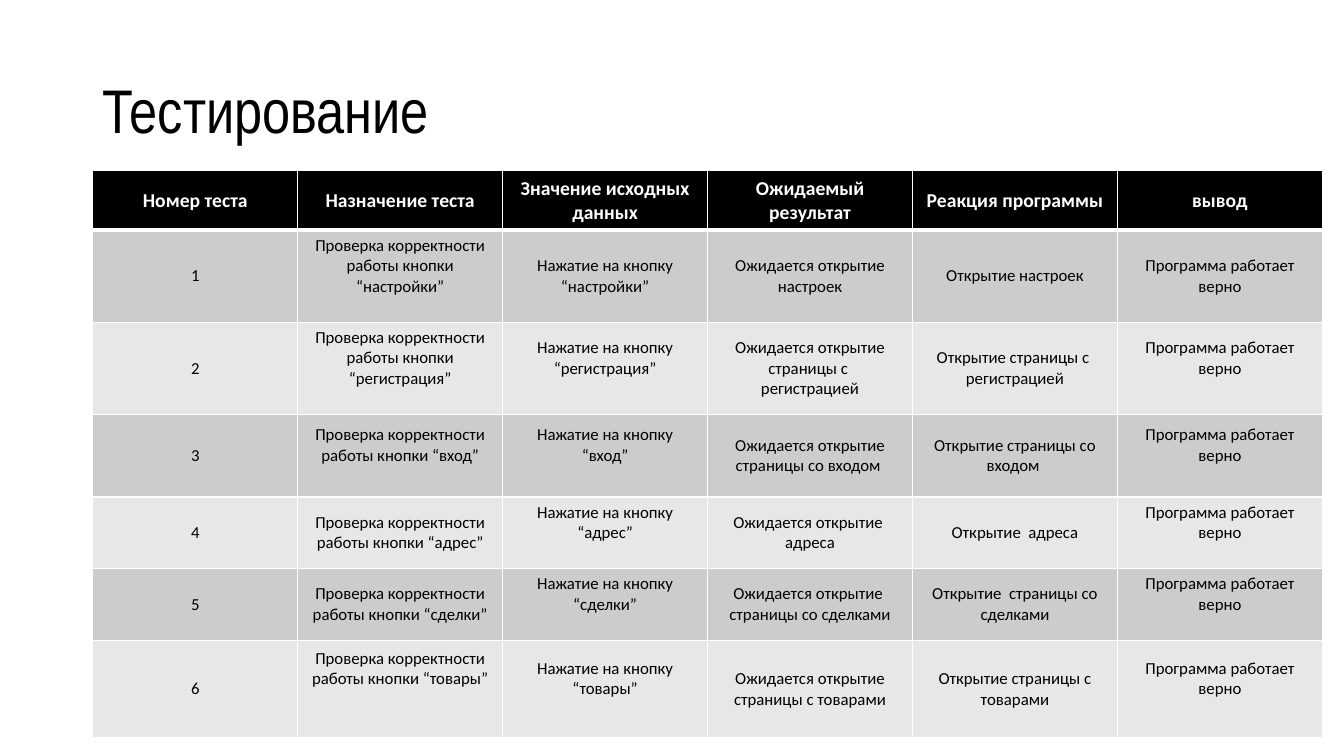
from dataclasses import dataclass

from lxml.etree import SubElement
from pptx import Presentation
from pptx.dml.color import RGBColor as Color
from pptx.enum.text import MSO_ANCHOR as Anchor, PP_ALIGN as Align
from pptx.oxml.ns import qn
from pptx.util import Pt


@dataclass(frozen=True)
class Theme:
    ink: Color = Color.from_string("000000")
    paper: Color = Color.from_string("FFFFFF")
    odd_row: Color = Color.from_string("CCCCCC")
    even_row: Color = Color.from_string("E7E7E7")
    title_font: str = "Arial Narrow"
    table_font: str = "Calibri"
    title_size: float = 44
    header_size: float = 14
    body_size: float = 12
    body_line: float = 14.65
    cell_margin: float = 3.6
    thin_border: float = 1
    thick_border: float = 3


HEADERS = ["Номер теста", "Назначение теста", "Значение исходных данных",
           "Ожидаемый результат", "Реакция программы", "вывод"]
HEADER_HEIGHT = 42.5
COLUMN_WIDTH = 146.4
TABLE_LEFT, TABLE_TOP = 66.3, 121.9

# Button, expected result, reaction, row height, lines left free under each text
TESTS = [
    ("настройки", "настроек", "настроек", 65.8, (0, 1, 0, 0, 0, 0)),
    ("регистрация", "страницы с  регистрацией", "страницы с  регистрацией",
     65.8, (0, 1, 1, 0, 0, 1)),
    ("вход", "страницы со входом ", "страницы со входом ", 59, (0, 1, 1, 0, 0, 1)),
    ("адрес", " адреса", " адреса", 51.2, (0, 0, 1, 0, 0, 1)),
    ("сделки", " страницы со сделками", " страницы со сделками",
     51.2, (0, 0, 1, 0, 0, 1)),
    ("товары", "страницы с товарами", "страницы с товарами",
     69.8, (0, 2, 1, 0, 0, 1)),
]


def apply_format(target, values):
    for name, value in values.items():
        setattr(target, name, value)


class SlideBuilder:
    def __init__(self, slide, theme):
        self.slide = slide
        self.theme = theme

    def add_text(self, frame, text, color, font, paragraph_format):
        paragraph = frame.paragraphs[0]
        apply_format(paragraph, paragraph_format)
        run = paragraph.add_run()
        run.text = text
        apply_format(run.font, font)
        run.font.color.rgb = color

    def add_title(self, text, left, top, width, height):
        shape = self.slide.shapes.add_textbox(Pt(left), Pt(top), Pt(width), Pt(height))
        frame = shape.text_frame
        apply_format(frame, {"word_wrap": True, "vertical_anchor": Anchor.MIDDLE})
        font = {"name": self.theme.title_font, "size": Pt(self.theme.title_size)}
        self.add_text(frame, text, self.theme.ink, font, {"line_spacing": 0.9})

    def add_borders(self, cell, top, bottom):
        thin = self.theme.thin_border
        properties = cell._tc.get_or_add_tcPr()
        for side, width in {"L": thin, "R": thin, "T": top, "B": bottom}.items():
            line = SubElement(properties, qn(f"a:ln{side}"), w=str(Pt(width)))
            fill = SubElement(line, qn("a:solidFill"))
            SubElement(fill, qn("a:srgbClr"), val=str(self.theme.paper))

    def fill_cell(self, cell, text, row, free_lines):
        """Style one cell; free_lines widens the bottom margin to lift its text."""
        theme = self.theme
        is_header = row == 0
        if is_header:
            background, color, size = theme.ink, theme.paper, theme.header_size
        else:
            background = theme.odd_row if row % 2 else theme.even_row
            color, size = theme.ink, theme.body_size
        self.add_borders(cell,
                         theme.thick_border if row == 1 else theme.thin_border,
                         theme.thick_border if is_header else theme.thin_border)
        cell.fill.solid()
        cell.fill.fore_color.rgb = background
        apply_format(cell, {
            "vertical_anchor": Anchor.MIDDLE,
            "margin_top": Pt(theme.cell_margin),
            "margin_bottom": Pt(theme.cell_margin + free_lines * theme.body_line),
        })
        font = {"name": theme.table_font, "size": Pt(size), "bold": is_header}
        self.add_text(cell.text_frame, text, color, font, {"alignment": Align.CENTER})

    def add_table(self, rows, left, top, column_width):
        """Draw rows given as (height, texts, free lines), header first."""
        columns = len(rows[0][1])
        height = sum(row_height for row_height, _, _ in rows)
        table = self.slide.shapes.add_table(
            len(rows), columns, Pt(left), Pt(top),
            Pt(column_width * columns), Pt(height)).table
        for column in table.columns:
            column.width = Pt(column_width)
        for row, (row_height, texts, free_lines) in enumerate(rows):
            table.rows[row].height = Pt(row_height)
            for column, (text, free) in enumerate(zip(texts, free_lines)):
                self.fill_cell(table.cell(row, column), text, row, free)


def test_rows():
    rows = [(HEADER_HEIGHT, HEADERS, [0] * len(HEADERS))]
    for number, (button, expected, reaction, height, free_lines) in enumerate(TESTS, 1):
        texts = [str(number),
                 f"Проверка корректности работы кнопки “{button}”",
                 f"Нажатие на кнопку “{button}”",
                 f"Ожидается открытие {expected}",
                 f"Открытие {reaction}",
                 "Программа работает верно"]
        rows.append((height, texts, free_lines))
    return rows


def main():
    presentation = Presentation()
    apply_format(presentation, {"slide_width": Pt(960), "slide_height": Pt(540)})
    slide = presentation.slides.add_slide(presentation.slide_layouts[6])
    builder = SlideBuilder(slide, Theme())
    builder.add_title("Тестирование", 66, 28.75, 828, 104.4)
    builder.add_table(test_rows(), TABLE_LEFT, TABLE_TOP, COLUMN_WIDTH)
    presentation.save("out.pptx")


if __name__ == "__main__":
    main()
